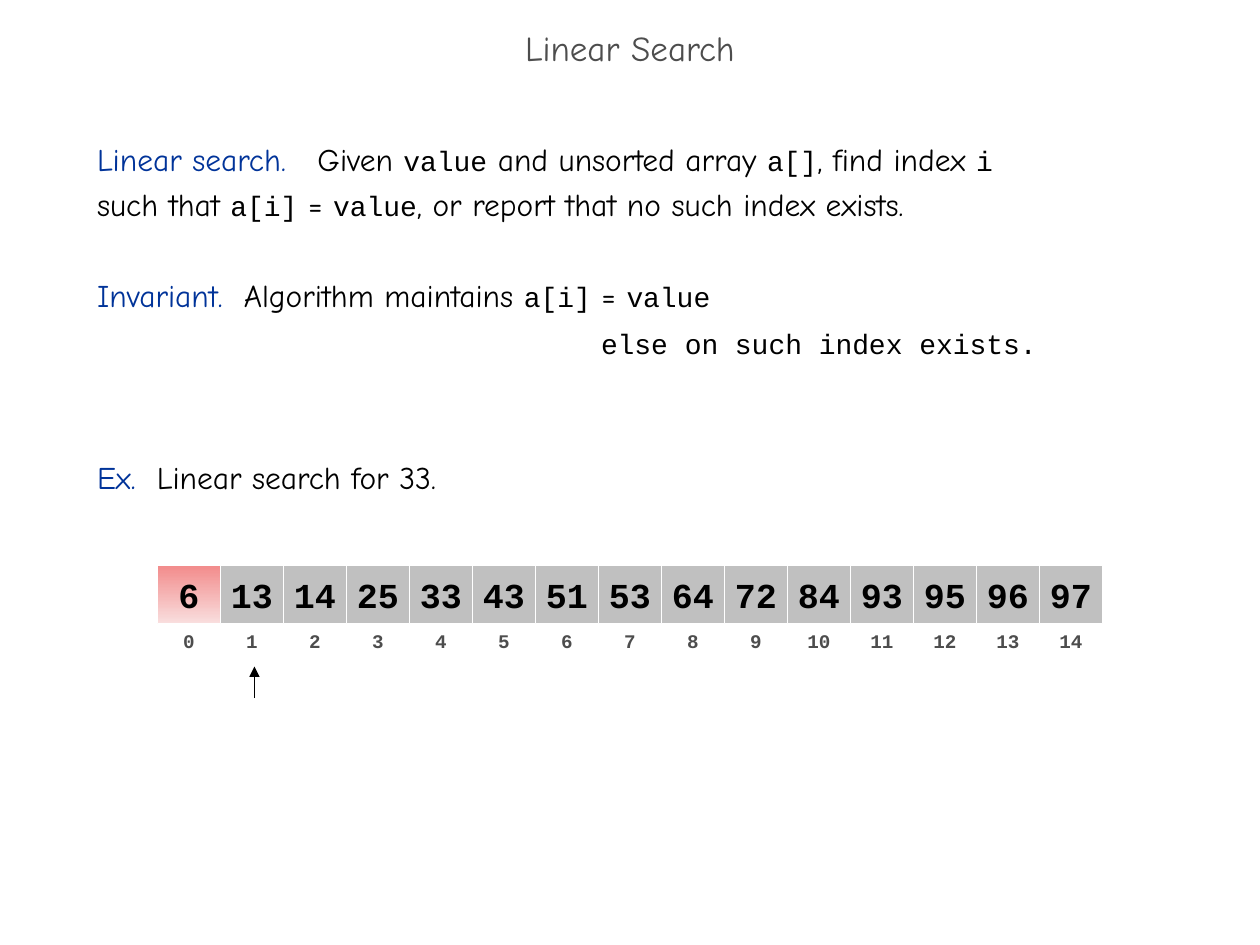
from dataclasses import dataclass
from typing import Optional

from lxml import etree
from pptx import Presentation, util as u
from pptx.dml.color import RGBColor
from pptx.enum import shapes, text
from pptx.oxml.ns import qn

PX = 9144  # EMU per px, 100 px to the inch

WHITE = RGBColor(0xFF, 0xFF, 0xFF)
BLACK = RGBColor(0x00, 0x00, 0x00)
GRAY = RGBColor(0x4D, 0x4D, 0x4D)
SILVER = RGBColor(0xC0, 0xC0, 0xC0)
BLUE = RGBColor(0x00, 0x33, 0x99)
RED_TOP = RGBColor(0xF2, 0x8C, 0x8C)
RED_BOTTOM = RGBColor(0xF9, 0xDE, 0xDE)

PROSE = "Comic Neue"
CODE = "Courier New"

VALUES = (6, 13, 14, 25, 33, 43, 51, 53, 64, 72, 84, 93, 95, 96, 97)
CHECKED = 0  # index of the value already examined
ARRAY_LEFT, CELL_WIDTH = 125, 50
LINE_PITCH = 26  # points


@dataclass
class Row:
    top: int
    height: int
    size: int
    color: RGBColor
    fill: Optional[RGBColor] = None


@dataclass
class Span:
    text: str
    font: str = PROSE
    size: int = 18
    color: RGBColor = BLACK


@dataclass
class Para:
    spans: list[Span]
    blank_lines: int = 0  # gap above, in line pitches
    indent: int = 0


def px(length: int) -> u.Emu:
    return u.Emu(length * PX)


def term(words: str) -> Span:
    return Span(words, color=BLUE)


def code(words: str) -> Span:
    return Span(words, CODE, 16)


INDEX_ROW = Row(498, 21, 11, GRAY)
VALUE_ROW = Row(449, 46, 20, BLACK, SILVER)

BODY = [
    Para([term("Linear search.   "), Span("Given "), code("value"),
          Span(" and unsorted array "), code("a[]"), Span(", find index "),
          code("i\n"), Span("such that "), code("a[i]"), Span(" = "),
          code("value"), Span(", or report that no such index exists.")]),
    Para([term("Invariant.  "), Span("Algorithm maintains "), code("a[i]"),
          Span(" = "), code("value")], blank_lines=1),
    Para([code("else on such index exists.")], indent=400),
    Para([term("Ex.  "), Span("Linear search for 33.")], blank_lines=2),
]


def place(shape, left: int, top: int, width: int, height: int) -> None:
    shape.left, shape.top = px(left), px(top)
    shape.width, shape.height = px(width), px(height)


def set_font(font, name: str, size: int, color: RGBColor) -> None:
    font.name, font.size = name, u.Pt(size)
    font.color.rgb = color


def draw_title(page) -> None:
    title = page.shapes.title
    place(title, 0, 17, 1000, 50)
    title.text_frame.auto_size = text.MSO_AUTO_SIZE.NONE
    title.text_frame.text = "Linear Search"
    paragraph = title.text_frame.paragraphs[0]
    paragraph.alignment = text.PP_ALIGN.CENTER
    paragraph.line_spacing = 0.7
    set_font(paragraph.font, PROSE, 20, GRAY)


def draw_body(page, paras: list[Para]) -> None:
    box = page.placeholders[1]
    place(box, 67, 100, 858, 592)
    frame = box.text_frame
    frame.auto_size = text.MSO_AUTO_SIZE.NONE
    for number, para in enumerate(paras):
        paragraph = frame.add_paragraph() if number else frame.paragraphs[0]
        paragraph.line_spacing = u.Pt(LINE_PITCH)
        paragraph.space_before = u.Pt(LINE_PITCH * para.blank_lines)
        paragraph.space_after = u.Pt(0)
        properties = paragraph._p.get_or_add_pPr()
        properties.set("marL", str(px(para.indent)))
        properties.set("indent", "0")
        etree.SubElement(properties, qn("a:buNone"))
        for span in para.spans:
            run = paragraph.add_run()
            run.text = span.text.rstrip("\n")
            set_font(run.font, span.font, span.size, span.color)
            if span.text.endswith("\n"):
                paragraph.add_line_break()


def draw_cell(page, row: Row, column: int, label: str):
    cell = page.shapes.add_shape(
        shapes.MSO_SHAPE.RECTANGLE, px(ARRAY_LEFT + column * CELL_WIDTH),
        px(row.top), px(CELL_WIDTH), px(row.height))
    cell.shadow.inherit = False
    cell.line.color.rgb = WHITE
    cell.line.width = u.Pt(0.75)
    if row.fill is None:
        cell.fill.background()
    else:
        cell.fill.solid()
        cell.fill.fore_color.rgb = row.fill
    frame = cell.text_frame
    frame.word_wrap = False
    frame.vertical_anchor = text.MSO_ANCHOR.MIDDLE
    frame.text = label
    paragraph = frame.paragraphs[0]
    paragraph.alignment = text.PP_ALIGN.CENTER
    set_font(paragraph.font, CODE, row.size, row.color)
    paragraph.font.bold = True
    return cell


def shade_checked(cell) -> None:
    cell.fill.gradient()
    cell.fill.gradient_angle = 270
    for stop, color in zip(cell.fill.gradient_stops, (RED_TOP, RED_BOTTOM)):
        stop.color.rgb = color


def draw_pointer(page, x: int, bottom: int, top: int) -> None:
    arrow = page.shapes.add_connector(
        shapes.MSO_CONNECTOR.STRAIGHT, px(x), px(bottom), px(x), px(top))
    arrow.line.color.rgb = BLACK
    arrow.line.width = u.Pt(0.75)
    etree.SubElement(arrow.line._get_or_add_ln(), qn("a:tailEnd"), type="triangle")
    etree.SubElement(arrow._element.spPr, qn("a:effectLst"))


def main() -> None:
    deck = Presentation()
    deck.slide_width, deck.slide_height = px(1000), px(750)
    page = deck.slides.add_slide(deck.slide_layouts[1])

    # Title and explanation
    draw_title(page)
    draw_body(page, BODY)

    # Array with its indices
    for index, value in enumerate(VALUES):
        draw_cell(page, INDEX_ROW, index, str(index))
        cell = draw_cell(page, VALUE_ROW, index, str(value))
        if index == CHECKED:
            shade_checked(cell)

    # Current position
    draw_pointer(page, 202, 554, 529)

    deck.save("out.pptx")


if __name__ == "__main__":
    main()
